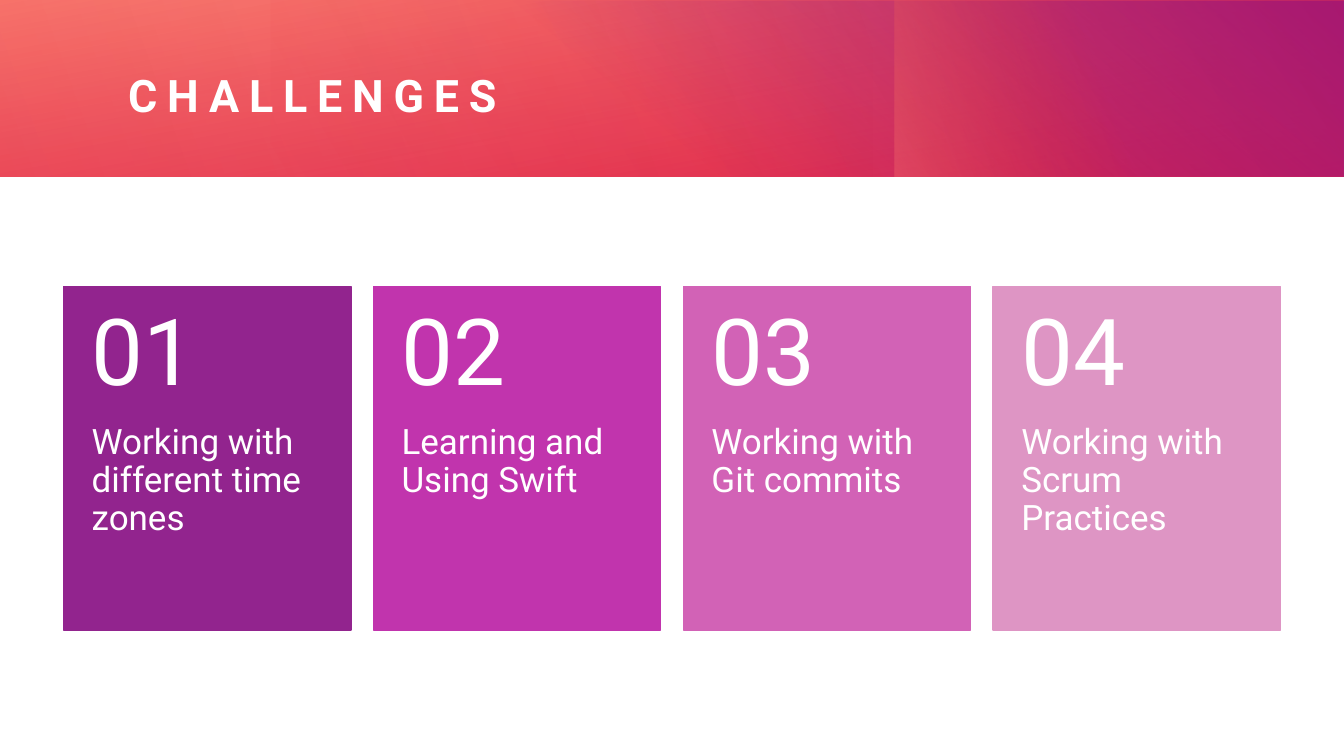
from dataclasses import dataclass

from lxml.etree import SubElement
from pptx import Presentation
from pptx.dml.color import RGBColor
from pptx.enum.shapes import MSO_SHAPE
from pptx.enum.text import MSO_ANCHOR, PP_ALIGN
from pptx.oxml.ns import qn
from pptx.util import Inches, Pt


@dataclass(frozen=True)
class Theme:
    """Colours, font and type sizes of the slide."""
    font: str = "Roboto"
    white: str = "FFFFFF"
    red: str = "DA002F"
    orange: str = "FE4A00"
    coral: str = "FF907A"
    purple: str = "92248E"
    cards: tuple = ("92248E", "C134AD", "D262B6", "DE95C4")
    title_size: int = 32
    number_size: int = 66
    label_size: int = 25


def write(box, text, *, size, color, font, bold=False, tracking=0,
          line_spacing=1.0, space_after=0, anchor=MSO_ANCHOR.TOP, insets=(0, 0, 0, 0)):
    """Put one formatted paragraph in a text box."""
    frame = box.text_frame
    frame.word_wrap = True
    frame.vertical_anchor = anchor
    frame.margin_left, frame.margin_top, frame.margin_right, frame.margin_bottom = map(Inches, insets)
    para = frame.paragraphs[0]
    para.alignment = PP_ALIGN.LEFT
    para.line_spacing = line_spacing
    para.space_after = Pt(space_after)
    span = para.add_run()
    span.text = text
    span.font.name = font
    span.font.size = Pt(size)
    span.font.bold = bold
    span.font.color.rgb = RGBColor.from_string(color)
    if tracking:
        span.font._element.set("spc", str(tracking * 100))


class SlideBuilder:
    """Draws elements in one theme on the current slide."""

    def __init__(self, page, theme):
        """Keep the page and its theme."""
        self.page = page
        self.theme = theme

    def rectangle(self, shapes, area):
        """Add a rectangle without shadow."""
        shape = shapes.add_shape(MSO_SHAPE.RECTANGLE, *map(Inches, area))
        shape.shadow.inherit = False
        return shape

    def gradient(self, area, stops, angle, rotation=0):
        """Add a two-stop gradient; stops are position, colour and opacity in percent."""
        shape = self.rectangle(self.page.shapes, area)
        shape.rotation = rotation
        shape.line.fill.background()
        shape.fill.gradient()
        shape.fill.gradient_angle = 360 - angle
        for stop, (position, color, _) in zip(shape.fill.gradient_stops, stops):
            stop.position = position / 100
            stop.color.rgb = RGBColor.from_string(color)
        colors = shape._element.spPr.iter(qn("a:srgbClr"))
        for node, (_, _, opacity) in zip(list(colors), stops):
            SubElement(node, qn("a:alpha")).set("val", str(opacity * 1000))

    def text(self, shapes, area, text, **style):
        """Add a white text box in the theme font."""
        box = shapes.add_textbox(*map(Inches, area))
        write(box, text, color=self.theme.white, font=self.theme.font, **style)

    def card(self, left, color, number, label):
        """Add a grouped card with its number above its label."""
        top, width, height, number_height = 2.84, 2.85, 3.41, 1.37
        shapes = self.page.shapes.add_group_shape().shapes
        panel = self.rectangle(shapes, (left, top, width, height))
        panel.fill.solid()
        panel.fill.fore_color.rgb = panel.line.color.rgb = RGBColor.from_string(color)
        panel.line.width = Pt(1)
        self.text(shapes, (left, top + number_height, width, height - number_height), label,
                  size=self.theme.label_size, line_spacing=0.9, insets=(0.28, 0, 0.28, 0.36))
        self.text(shapes, (left, top, width, number_height), number,
                  size=self.theme.number_size, line_spacing=0.9,
                  anchor=MSO_ANCHOR.MIDDLE, insets=(0.28, 0.18, 0.28, 0.18))


def main():
    """Build and save the slide."""
    deck = Presentation()
    deck.slide_width, deck.slide_height = Inches(13.33), Inches(7.5)
    page = deck.slides.add_slide(deck.slide_layouts[6])
    theme = Theme()
    builder = SlideBuilder(page, theme)

    builder.gradient((0, 0, 13.33, 1.75), ((0, theme.red, 83), (100, theme.coral, 100)), 260)
    builder.gradient((4.81, 0.01, 8.52, 1.74), ((22, theme.purple, 0), (99, theme.purple, 100)), 310)
    builder.gradient((9.87, -0.99, 1.75, 3.74), ((45, theme.orange, 0), (99, theme.coral, 33)), 250, 270)
    builder.gradient((2.68, 0, 10.64, 1.75), ((0, theme.red, 30), (99, theme.red, 0)), 330, 180)
    builder.gradient((0, 0, 8.65, 1.75), ((0, theme.red, 21), (99, theme.red, 0)), 340)
    builder.text(page.shapes, (1.27, 0.41, 11.35, 1.06), "CHALLENGES", size=theme.title_size,
                 bold=True, tracking=7, space_after=6, anchor=MSO_ANCHOR.MIDDLE)

    labels = ("Working with different time zones", "Learning and Using Swift",
              "Working with Git commits", "Working with Scrum Practices")
    first_left, last_left = 0.63, 9.85
    pitch = (last_left - first_left) / (len(labels) - 1)
    for index, (label, color) in enumerate(zip(labels, theme.cards)):
        builder.card(first_left + index * pitch, color, f"{index + 1:02}", label)

    deck.save("out.pptx")


if __name__ == "__main__":
    main()
